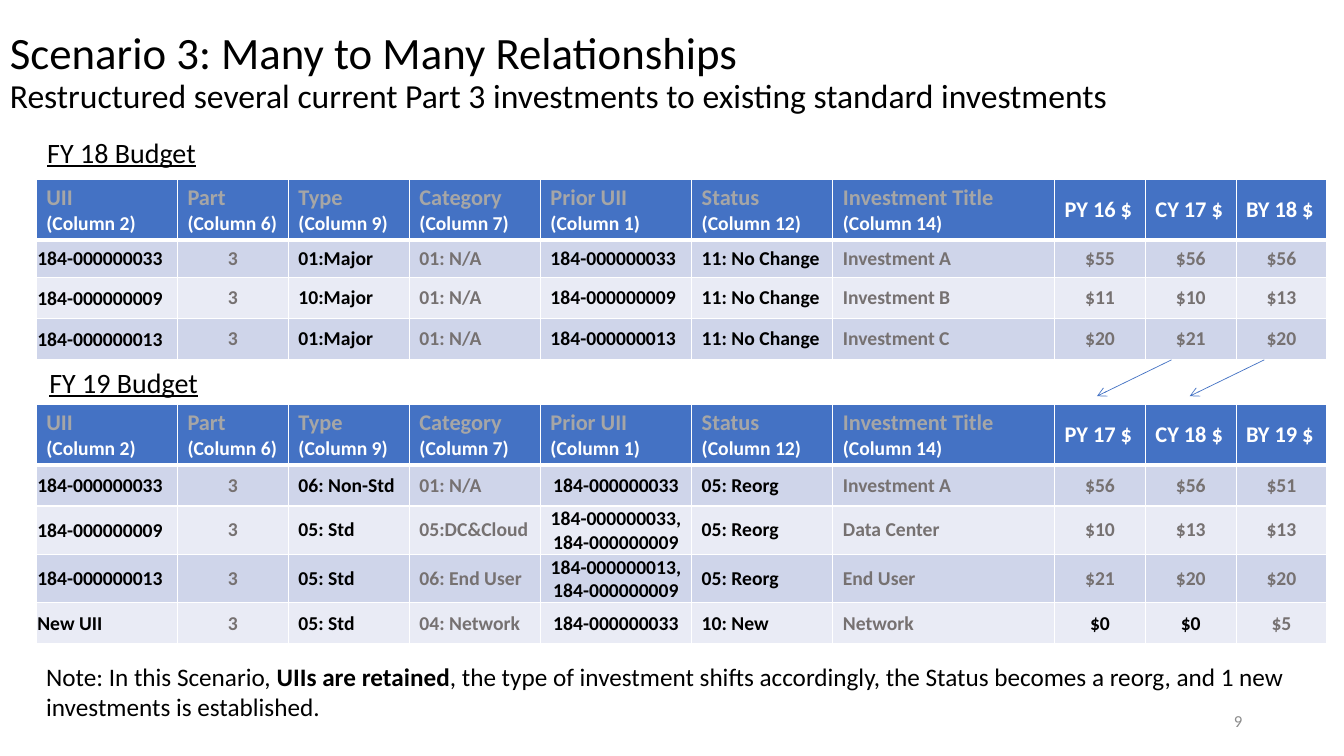
from lxml import etree
from pptx import Presentation
from pptx.dml.color import RGBColor
from pptx.enum.shapes import MSO_CONNECTOR
from pptx.enum.text import MSO_ANCHOR, PP_ALIGN
from pptx.oxml.ns import qn
from pptx.util import Inches, Pt

LEFT, CENTER, RIGHT = PP_ALIGN.LEFT, PP_ALIGN.CENTER, PP_ALIGN.RIGHT
TOP, MIDDLE = MSO_ANCHOR.TOP, MSO_ANCHOR.MIDDLE
STRAIGHT = MSO_CONNECTOR.STRAIGHT

BLACK, WHITE, BLUE = "000000", "FFFFFF", "4472C4"
PALE_GRAY, MUTED, PAGE_GRAY = "A6A6A6", "767171", "8C8C8C"
BANDS = ("CFD5EA", "E9EBF5")

COLUMN_WIDTHS = (1.4, 1.1, 1.2, 1.3, 1.5, 1.4, 2.2, 0.9, 0.9, 0.9)
HEADINGS = (("UII", 2), ("Part", 6), ("Type", 9), ("Category", 7),
            ("Prior UII", 1), ("Status", 12), ("Investment Title", 14))
UII, PART, TYPE, CATEGORY, PRIOR, STATUS, TITLE = range(7)
KEY_COLUMNS = (UII, TYPE, PRIOR, STATUS)

FY18_YEARS = ("PY 16 $", "CY 17 $", "BY 18 $")
FY18_ROWS = (
    ("184-000000033", "3", "01:Major", "01: N/A", "184-000000033",
     "11: No Change", "Investment A", "$55", "$56", "$56"),
    ("184-000000009", "3", "10:Major", "01: N/A", "184-000000009",
     "11: No Change", "Investment B", "$11", "$10", "$13"),
    ("184-000000013", "3", "01:Major", "01: N/A", "184-000000013",
     "11: No Change", "Investment C", "$20", "$21", "$20"),
)
FY19_YEARS = ("PY 17 $", "CY 18 $", "BY 19 $")
FY19_ROWS = (
    ("184-000000033", "3", "06: Non-Std", "01: N/A", "184-000000033",
     "05: Reorg", "Investment A", "$56", "$56", "$51"),
    ("184-000000009", "3", "05: Std", "05:DC&Cloud",
     "184-000000033, 184-000000009",
     "05: Reorg", "Data Center", "$10", "$13", "$13"),
    ("184-000000013", "3", "05: Std", "06: End User",
     "184-000000013, 184-000000009",
     "05: Reorg", "End User", "$21", "$20", "$20"),
    ("New UII", "3", "05: Std", "04: Network", "184-000000033",
     "10: New", "Network", "$0", "$0", "$5"),
)


def color(value):
    return RGBColor.from_string(value)


def add_span(para, text, size=14, fill=BLACK, bold=False, underline=False,
             font="Calibri"):
    span = para.add_run()
    span.text = text
    span.font.name = font
    span.font.size = Pt(size)
    span.font.bold = bold
    span.font.underline = underline
    span.font.color.rgb = color(fill)


def set_borders(cell, top, bottom):
    properties = cell._tc.get_or_add_tcPr()
    for side, points in (("lnL", 1), ("lnR", 1), ("lnT", top), ("lnB", bottom)):
        line = etree.SubElement(properties, qn("a:" + side), w=str(Pt(points)))
        solid = etree.SubElement(line, qn("a:solidFill"))
        etree.SubElement(solid, qn("a:srgbClr"), val=WHITE)


class BudgetSlide:
    def __init__(self, deck):
        self.page = deck.slides.add_slide(deck.slide_layouts[6])

    def text(self, left, top, width, height, anchor=TOP, align=LEFT,
             spacing=1.0, before=0):
        box = self.page.shapes.add_textbox(
            Inches(left), Inches(top), Inches(width), Inches(height))
        box.text_frame.word_wrap = True
        box.text_frame.vertical_anchor = anchor
        para = box.text_frame.paragraphs[0]
        para.alignment = align
        para.line_spacing = spacing
        para.space_before = Pt(before)
        return para

    def label(self, left, top, text):
        para = self.text(left, top, 2.39, 0.59, spacing=0.9, before=10)
        add_span(para, text, size=20, underline=True)

    def heading_cell(self, cell, name, number=None):
        set_borders(cell, 1, 3)
        cell.fill.solid()
        cell.fill.fore_color.rgb = color(BLUE)
        para = cell.text_frame.paragraphs[0]
        if number is None:
            cell.vertical_anchor = MIDDLE
            add_span(para, name, size=16, fill=WHITE, bold=True)
        else:
            add_span(para, name, size=16, fill=PALE_GRAY, bold=True)
            add_span(cell.text_frame.add_paragraph(), f"(Column {number})",
                     fill=WHITE, bold=True)

    def body_cell(self, cell, text, row, column, center_prior):
        set_borders(cell, 3 if row == 1 else 1, 1)
        cell.fill.solid()
        cell.fill.fore_color.rgb = color(BANDS[(row - 1) % 2])
        cell.vertical_anchor = MIDDLE
        if column == UII or "," in text:
            cell.margin_left = cell.margin_top = cell.margin_right = Inches(0.01)
            cell.margin_bottom = 0
        para = cell.text_frame.paragraphs[0]
        centered = (column == PART or column > TITLE
                    or column == PRIOR and center_prior)
        para.alignment = CENTER if centered else LEFT
        strong = column in KEY_COLUMNS or text == "$0"
        add_span(para, text, fill=BLACK if strong else MUTED, bold=True)

    def table(self, top, heights, years, rows, center_prior=False):
        frame = self.page.shapes.add_table(
            len(heights), len(COLUMN_WIDTHS), Inches(0.36), Inches(top),
            Inches(sum(COLUMN_WIDTHS)), Inches(sum(heights)))
        table = frame.table
        for column, width in zip(table.columns, COLUMN_WIDTHS):
            column.width = Inches(width)
        for row, height in zip(table.rows, heights):
            row.height = Inches(height)
        headings = HEADINGS + tuple((year,) for year in years)
        for column, heading in enumerate(headings):
            self.heading_cell(table.cell(0, column), *heading)
        for row, values in enumerate(rows, 1):
            for column, value in enumerate(values):
                self.body_cell(table.cell(row, column), value, row, column,
                               center_prior)

    def arrow(self, start_x, start_y, end_x, end_y):
        arrow = self.page.shapes.add_connector(
            STRAIGHT, Inches(start_x), Inches(start_y),
            Inches(end_x), Inches(end_y))
        arrow.line.color.rgb = color(BLUE)
        arrow.line.width = Pt(0.5)
        etree.SubElement(arrow.line._get_or_add_ln(), qn("a:tailEnd"), type="arrow")
        etree.SubElement(arrow._element.spPr, qn("a:effectLst"))


def main():
    deck = Presentation()
    deck.slide_width, deck.slide_height = Inches(13.33), Inches(7.5)
    slide = BudgetSlide(deck)

    # Title
    title = slide.text(0, 0.1, 13.33, 1.25, anchor=MIDDLE, spacing=0.9)
    add_span(title, "Scenario 3: Many to Many Relationships", size=32)
    title.add_line_break()
    add_span(title, "Restructured several current Part 3 investments to "
             "existing standard investments", size=24)

    # Budget tables
    slide.label(0.39, 3.61, "FY 19 Budget")
    slide.label(0.37, 1.33, "FY 18 Budget")
    slide.table(1.78, (0.6, 0.37, 0.41, 0.41), FY18_YEARS, FY18_ROWS)
    slide.table(4.01, (0.6, 0.41, 0.48, 0.48, 0.41), FY19_YEARS, FY19_ROWS,
                center_prior=True)

    # Note
    note = slide.text(0.36, 6.51, 12.77, 0.71)
    add_span(note, "Note: In this Scenario, ", size=18)
    add_span(note, "UIIs are retained", size=18, bold=True)
    add_span(note, ", the type of investment shifts accordingly, the Status "
             "becomes a reorg, and 1 new investments is established.", size=18)

    # Arrows from each year to its next place
    for start_x in (11.62, 12.54):
        slide.arrow(start_x, 3.57, start_x - 0.74, 3.93)

    # Page number
    number = slide.text(9.42, 6.95, 3, 0.4, anchor=MIDDLE, align=RIGHT)
    add_span(number, "9", size=12, fill=PAGE_GRAY)

    deck.save("out.pptx")


if __name__ == "__main__":
    main()
